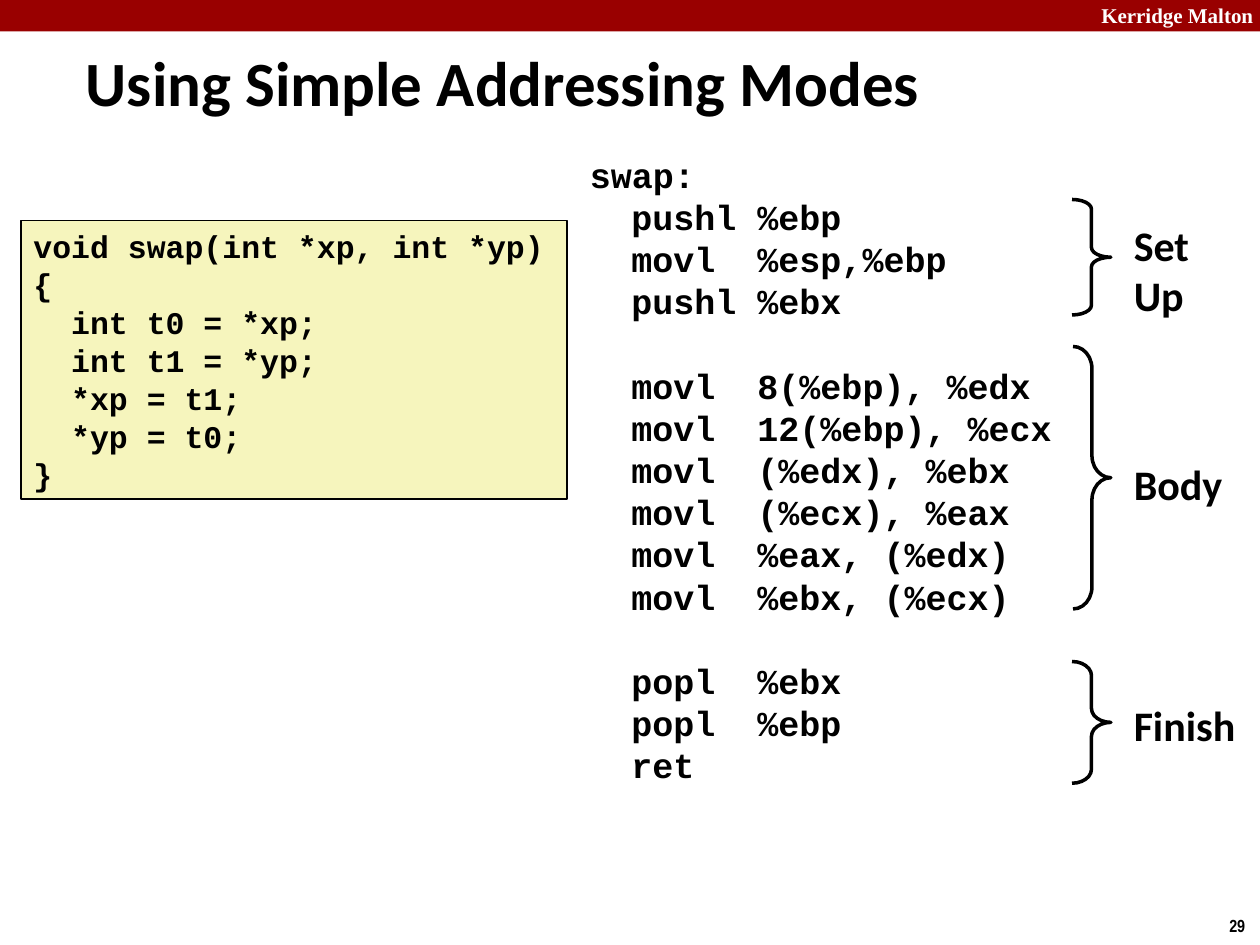
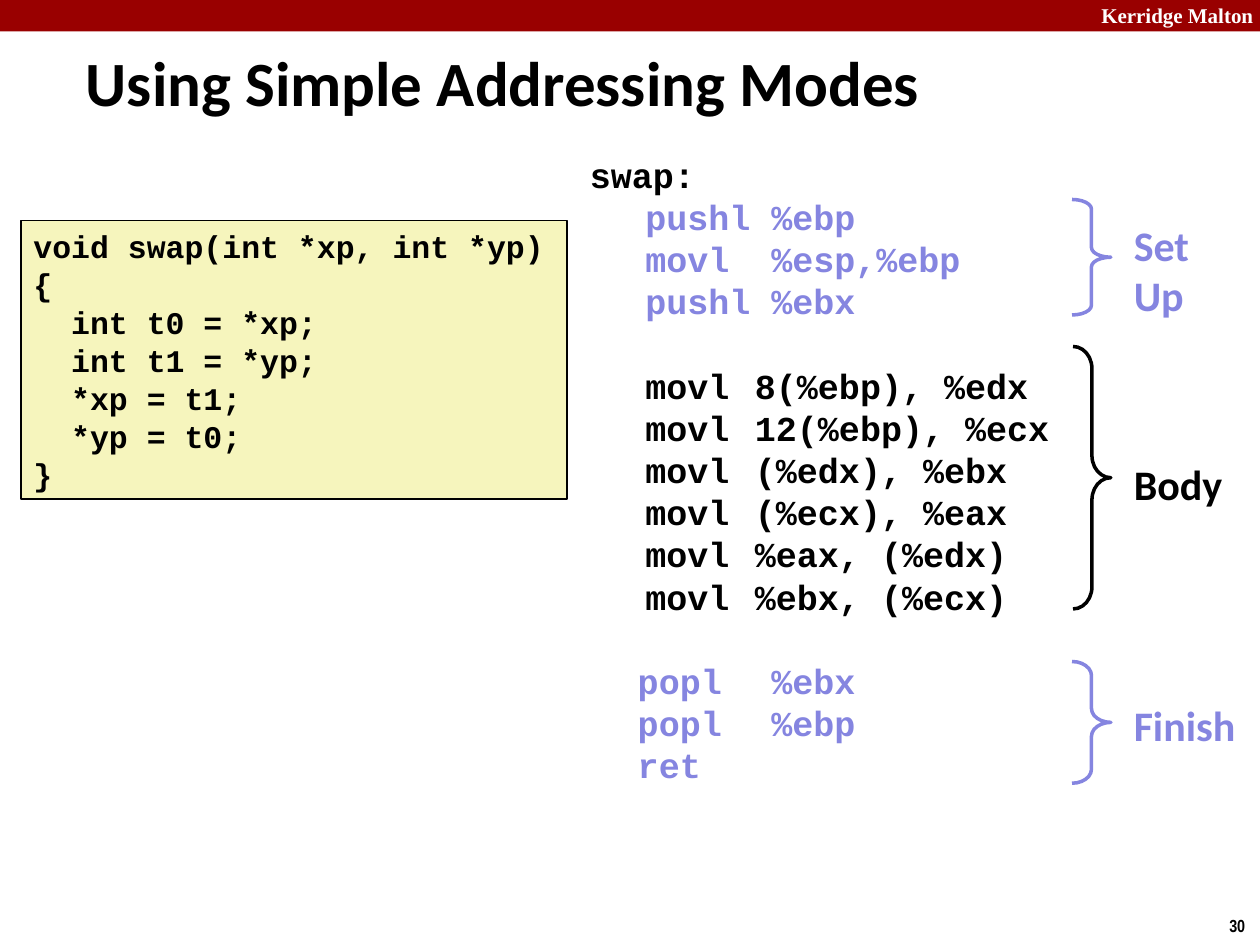
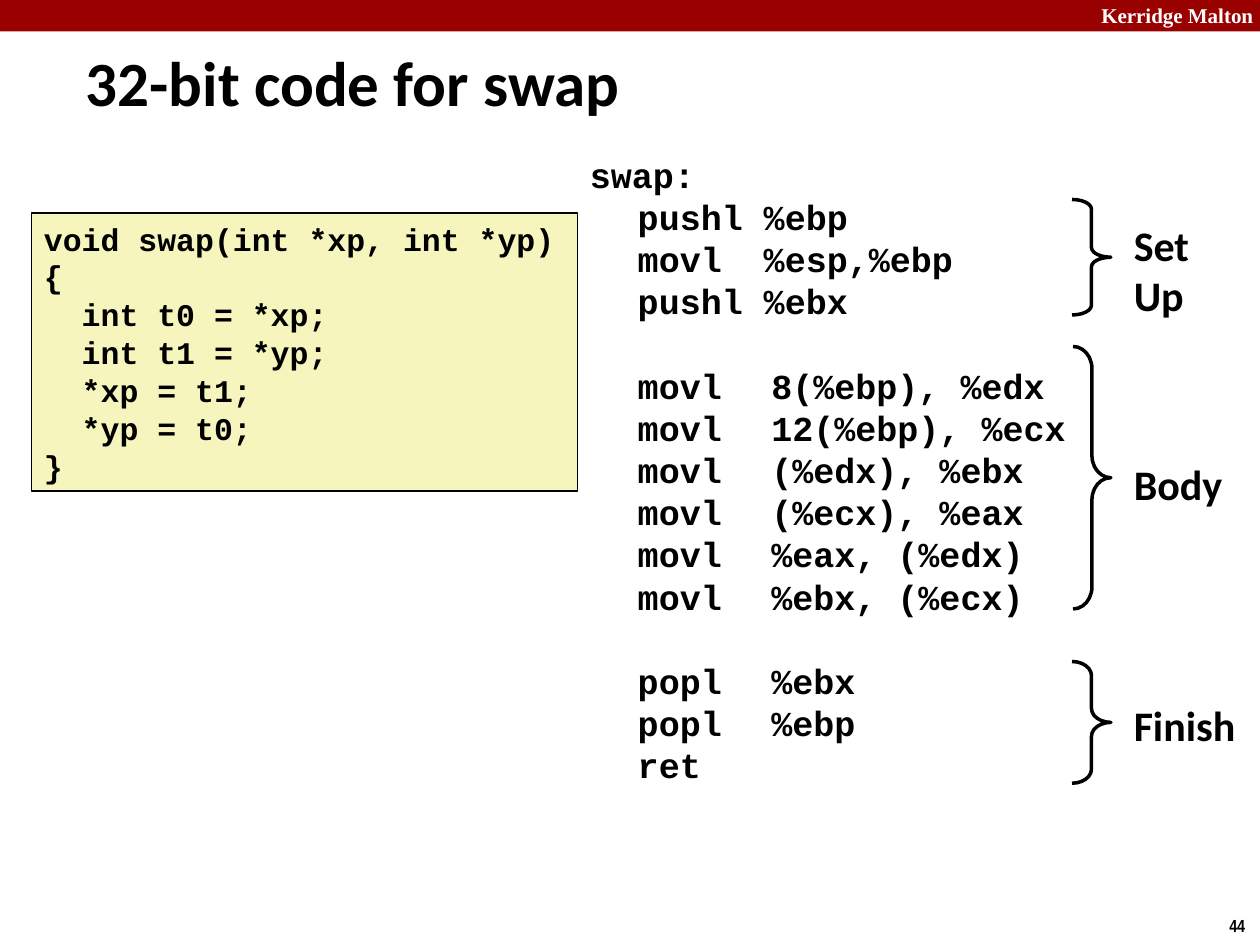
import dataclasses

import lxml.etree
import pptx
import pptx.dml.color
import pptx.enum.shapes
import pptx.enum.text
import pptx.oxml.ns
import pptx.util

COLUMNS, ROWS = 120, 90
CELL = pptx.util.Inches(10) // COLUMNS
SHAPES = pptx.enum.shapes.MSO_SHAPE


@dataclasses.dataclass(frozen=True)
class Theme:
    band: str = "990000"
    paper: str = "FFFFFF"
    ink: str = "000000"
    faded: str = "8585E0"
    listing: str = "F6F5BD"
    heading_font: str = "Calibri"
    code_font: str = "Courier New"
    band_font: str = "Times New Roman"
    number_font: str = "Arial Narrow"
    title_size: int = 36
    label_size: int = 24
    assembly_size: int = 20
    source_size: int = 18
    band_size: int = 12
    number_size: int = 10
    code_leading: float = 1.205


@dataclasses.dataclass(frozen=True)
class Stage:
    label: str
    instructions: tuple
    brace: tuple
    curl: float
    caption: tuple


THEME = Theme()

SOURCE_CODE = """void swap(int *xp, int *yp)
{
\tint t0 = *xp;
\tint t1 = *yp;
\t*xp = t1;
\t*yp = t0;
}"""

SETUP = Stage(
    "Set\nUp",
    ("pushl\t%ebp", "movl\t%esp,%ebp", "pushl\t%ebx"),
    (102.1, 19, 3.7, 11), 0.25, (106.8, 20.3, 7.8, 10.9),
)
BODY = Stage(
    "Body",
    ("movl\t8(%ebp), %edx", "movl\t12(%ebp), %ecx", "movl\t(%edx), %ebx",
     "movl\t(%ecx), %eax", "movl\t%eax, (%edx)", "movl\t%ebx, (%ecx)"),
    (102.2, 33, 3.6, 25), 0.585, (106.8, 43.1, 10.9, 6),
)
FINISH = Stage(
    "Finish",
    ("popl\t%ebx", "popl\t%ebp", "ret"),
    (102.1, 63, 3.7, 11.6), 0.362, (106.8, 66, 12.2, 6),
)
STAGES = (SETUP, BODY, FINISH)


def cells(*lengths):
    return [round(length * CELL) for length in lengths]


def rgb(color):
    return pptx.dml.color.RGBColor.from_string(color)


def style(paragraph, font, size, color):
    for run in paragraph.runs:
        run.font.name = font
        run.font.size = pptx.util.Pt(size)
        run.font.bold = True
        run.font.color.rgb = rgb(color)


def write(slide, text, area, font, size, color=THEME.ink, wrap=False):
    frame = slide.shapes.add_textbox(*cells(*area)).text_frame
    frame.word_wrap = wrap
    frame.text = text
    for paragraph in frame.paragraphs:
        style(paragraph, font, size, color)
    return frame


def draw(slide, preset, area, fill=None, line=None, weight=1):
    shape = slide.shapes.add_shape(preset, *cells(*area))
    shape.shadow.inherit = False
    if fill:
        shape.fill.solid()
        shape.fill.fore_color.rgb = rgb(fill)
    else:
        shape.fill.background()
    if line:
        shape.line.color.rgb = rgb(line)
        shape.line.width = pptx.util.Pt(weight)
    else:
        shape.line.fill.background()
    return shape


def style_code(paragraph, size, color, tabs):
    style(paragraph, THEME.code_font, size, color)
    paragraph.alignment = pptx.enum.text.PP_ALIGN.LEFT
    paragraph.line_spacing = pptx.util.Pt(size * THEME.code_leading)
    properties = paragraph._p.get_or_add_pPr()
    stops = lxml.etree.SubElement(properties, pptx.oxml.ns.qn("a:tabLst"))
    for tab in tabs:
        stop = lxml.etree.SubElement(stops, pptx.oxml.ns.qn("a:tab"))
        stop.set("pos", str(pptx.util.Inches(tab)))
        stop.set("algn", "l")


def add_frame(slide, title, number):
    draw(slide, SHAPES.RECTANGLE, (0, 0, COLUMNS, 3), THEME.band)
    write(slide, "Kerridge Malton", (103.7, -0.36, 17.2, 3.6),
          THEME.band_font, THEME.band_size, THEME.paper, True)
    write(slide, str(number), (115.9, 86.6, 4.1, 3.2),
          THEME.number_font, THEME.number_size)
    heading = write(slide, title, (7, 4, 100.5, 7.5),
                    THEME.heading_font, THEME.title_size, wrap=True)
    heading.vertical_anchor = pptx.enum.text.MSO_ANCHOR.MIDDLE


def add_source(slide, left, top):
    listing = draw(slide, SHAPES.RECTANGLE, (left, top, 52, 26.5),
                   THEME.listing, THEME.ink)
    frame = listing.text_frame
    frame.vertical_anchor = pptx.enum.text.MSO_ANCHOR.TOP
    frame.word_wrap = True
    frame.text = SOURCE_CODE
    for line in frame.paragraphs:
        style_code(line, THEME.source_size, THEME.ink, (0.3,))


def add_assembly(slide, stage_tabs, colors):
    frame = write(slide, "swap:", (55, 14, 55, 61.8),
                  THEME.code_font, THEME.assembly_size, wrap=True)
    style_code(frame.paragraphs[0], THEME.assembly_size, THEME.ink, ())
    gap = pptx.util.Pt(THEME.assembly_size * THEME.code_leading)
    for stage, tabs, color in zip(STAGES, stage_tabs, colors):
        for index, instruction in enumerate(stage.instructions):
            line = frame.add_paragraph()
            line.text = "\t" + instruction
            style_code(line, THEME.assembly_size, color, tabs)
            if index == 0 and stage is not SETUP:
                line.space_before = gap


def add_stage_marker(slide, stage, color):
    brace = draw(slide, SHAPES.RIGHT_BRACE, stage.brace, line=color, weight=2)
    brace.adjustments[0] = stage.curl
    brace.adjustments[1] = 0.5
    write(slide, stage.label, stage.caption,
          THEME.heading_font, THEME.label_size, color)


def add_swap_slide(deck, title, number, source_corner, stage_tabs, colors):
    slide = deck.slides.add_slide(deck.slide_layouts[6])
    add_frame(slide, title, number)
    add_source(slide, *source_corner)
    add_assembly(slide, stage_tabs, colors)
    for stage, color in zip(STAGES, colors):
        add_stage_marker(slide, stage, color)


def main():
    deck = pptx.Presentation()
    deck.slide_width, deck.slide_height = cells(COLUMNS, ROWS)
    all_ink = (THEME.ink,) * len(STAGES)
    body_only = (THEME.faded, THEME.ink, THEME.faded)
    addressing = "Using Simple Addressing Modes"
    add_swap_slide(deck, addressing, 29, (2, 21),
                   ((0.33, 1.33),) * len(STAGES), all_ink)
    add_swap_slide(deck, addressing, 30, (2, 21),
                   ((0.44, 1.44), (0.44, 1.31), (0.38, 1.44)), body_only)
    add_swap_slide(deck, "32-bit code for swap", 44, (3, 20.3),
                   ((0.38, 1.38), (0.38, 1.44), (0.38, 1.44)), all_ink)
    deck.save("out.pptx")


if __name__ == "__main__":
    main()
